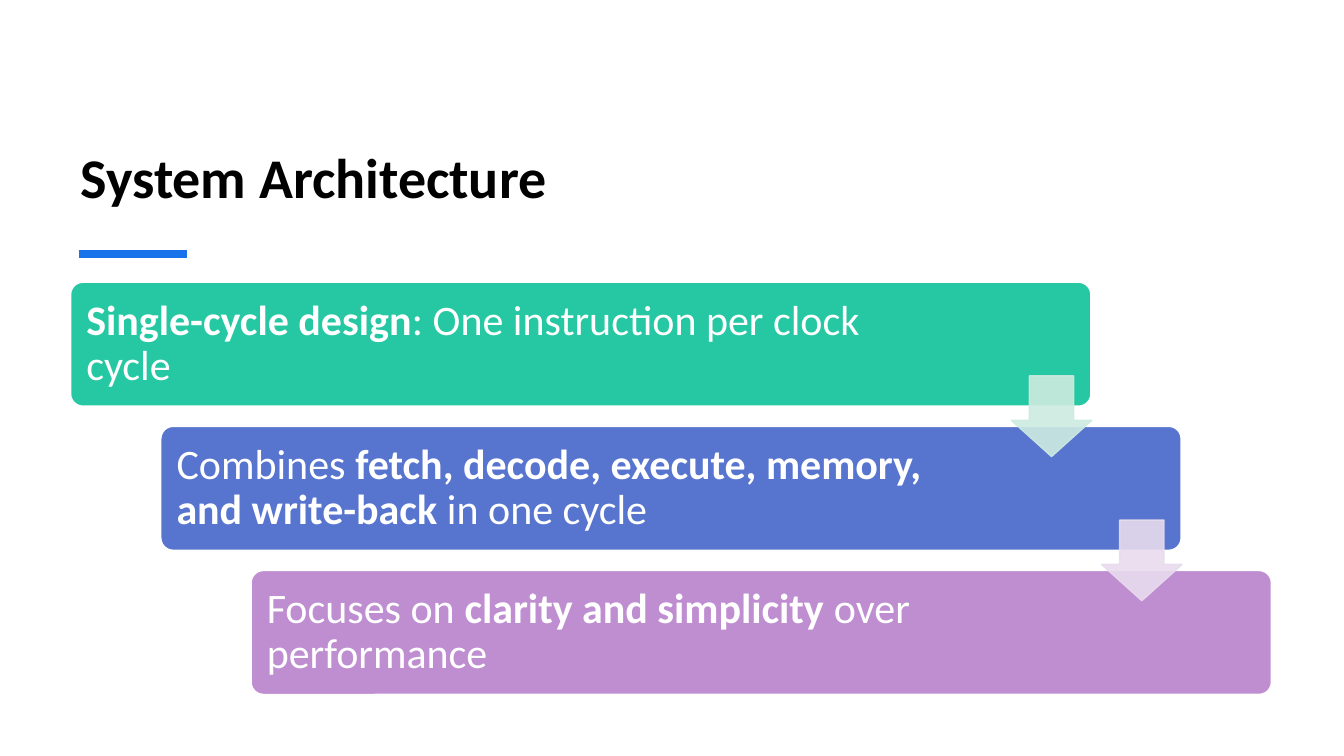
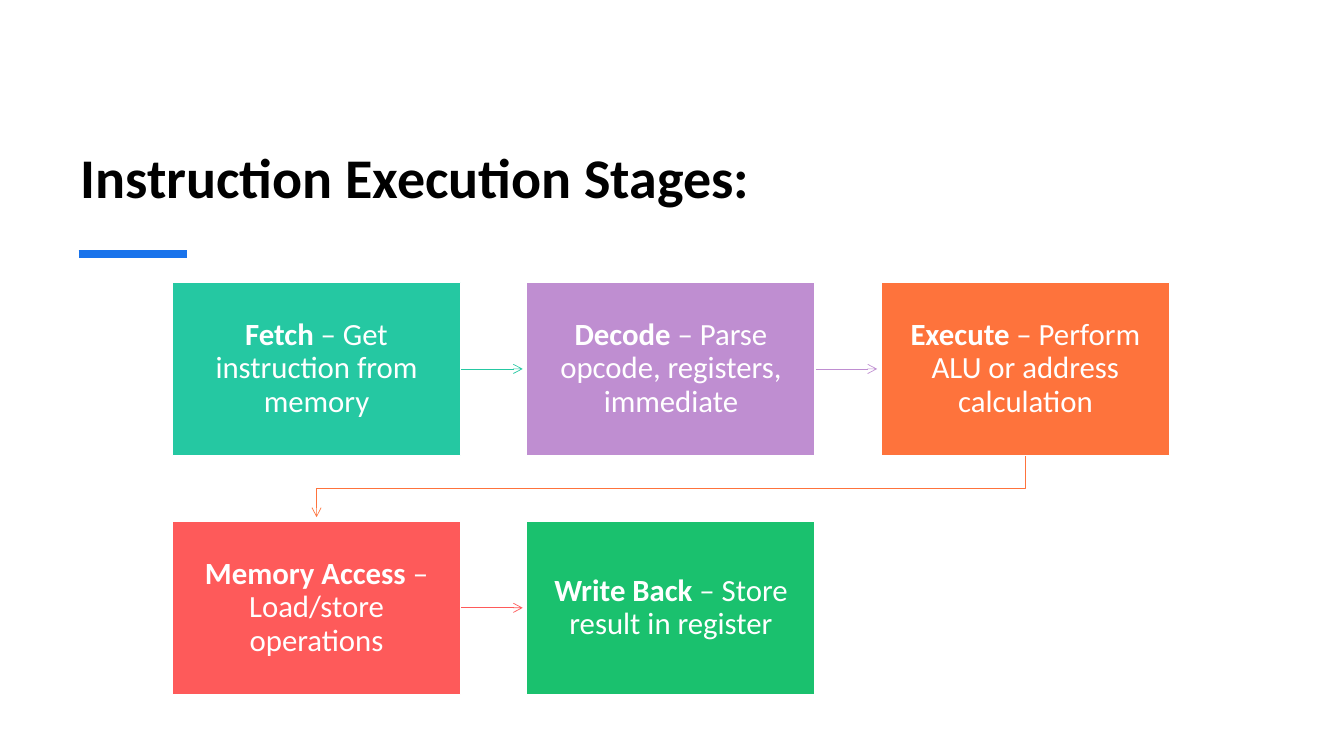
"""Build two slides on the design and stages of a single-cycle processor."""
from dataclasses import dataclass
from itertools import pairwise

from lxml import etree
from pptx import Presentation
from pptx.dml import color as dml
from pptx.enum import shapes, text
from pptx.oxml import ns
from pptx.util import Inches, Pt


@dataclass(frozen=True)
class Theme:
    """Colours, font and type sizes."""
    font: str = "Calibri"
    title_size: int = 40
    bar_size: int = 30
    stage_size: int = 22
    ink: str = "000000"
    paper: str = "FFFFFF"
    accent: str = "1973EB"
    teal: str = "25C8A2"
    blue: str = "5775CF"
    purple: str = "BF8ED1"
    orange: str = "FE733C"
    red: str = "FE5A5A"
    green: str = "1AC16E"
    pale_teal: str = "CDEBE0"
    pale_purple: str = "E8DBEE"


THEME = Theme()


@dataclass(frozen=True)
class Box:
    """A rectangle in inches."""
    left: float
    top: float
    width: float
    height: float

    @property
    def right(self) -> float:
        return self.left + self.width

    @property
    def bottom(self) -> float:
        return self.top + self.height

    @property
    def center(self) -> float:
        return self.left + self.width / 2

    @property
    def middle(self) -> float:
        return self.top + self.height / 2

    def lengths(self) -> list:
        return [Inches(value) for value in (self.left, self.top, self.width, self.height)]


@dataclass(frozen=True)
class Run:
    """A piece of text in one weight."""
    text: str
    bold: bool = False


@dataclass(frozen=True)
class Bar:
    """A step of the staircase."""
    fill: str
    runs: tuple[Run, ...]
    right_inset: float


@dataclass(frozen=True)
class Stage:
    """An instruction stage and its place in the grid."""
    name: str
    action: str
    fill: str
    column: int
    row: int


TITLE = Box(0.7, 0.62, 11.91, 1.52)
CONTENT_TOP = 2.8
BAR_WIDTH, BAR_HEIGHT, BAR_STEP = 10.12, 1.23, 1.43
BAR_INSET = 0.12
DROP_SIZE = 0.8
DROP_LEFT, DROP_TOP = 10.03, 3.73
GRID_LEFT, GRID_RIGHT, GRID_COLUMNS = 1.71, 11.6, 3
STAGE_WIDTH, STAGE_HEIGHT, ROW_STEP = 2.86, 1.72, 2.37
STAGE_INSET = 0.17
LINK_GAP = 0.04

BARS = (
    Bar(THEME.teal, (Run("Single-cycle design", True),
                     Run(": One instruction per clock cycle")), 1.36),
    Bar(THEME.blue, (Run("Combines "),
                     Run("fetch, decode, execute, memory, and write-back", True),
                     Run(" in one cycle")), 1.8),
    Bar(THEME.purple, (Run("Focuses on "), Run("clarity and simplicity", True),
                       Run(" over performance")), 1.8),
)
DROP_FILLS = (THEME.pale_teal, THEME.pale_purple)
STAGES = (
    Stage("Fetch", "Get instruction from memory", THEME.teal, 0, 0),
    Stage("Decode", "Parse opcode, registers, immediate", THEME.purple, 1, 0),
    Stage("Execute", "Perform ALU or address calculation", THEME.orange, 2, 0),
    Stage("Memory Access", "Load/store operations", THEME.red, 0, 1),
    Stage("Write Back", "Store result in register", THEME.green, 1, 1),
)


def rgb(value: str) -> dml.RGBColor:
    """Turn a hex value into a colour."""
    return dml.RGBColor.from_string(value)


def style_line(shape, color: str, width: float) -> None:
    """Set the colour and width of a line."""
    shape.line.color.rgb = rgb(color)
    shape.line.width = Pt(width)


def add_filled(slide, kind, box: Box, fill: str, line: str, adjustments=()):
    """Add a preset shape with a solid fill, a thin line and no shadow."""
    shape = slide.shapes.add_shape(kind, *box.lengths())
    shape.shadow.inherit = False
    shape.fill.solid()
    shape.fill.fore_color.rgb = rgb(fill)
    style_line(shape, line, 1)
    for index, value in enumerate(adjustments):
        shape.adjustments[index] = value
    return shape


def write_runs(shape, runs, size: int, alignment, inset: float, right_inset: float) -> None:
    """Fill a shape with one paragraph of white text."""
    frame = shape.text_frame
    frame.word_wrap = True
    frame.vertical_anchor = text.MSO_ANCHOR.MIDDLE
    frame.margin_left = frame.margin_top = frame.margin_bottom = Inches(inset)
    frame.margin_right = Inches(right_inset)
    paragraph = frame.paragraphs[0]
    paragraph.alignment = alignment
    paragraph.line_spacing = 0.9
    paragraph.font.name = THEME.font
    paragraph.font.size = Pt(size)
    paragraph.font.color.rgb = rgb(THEME.paper)
    for item in runs:
        run = paragraph.add_run()
        run.text = item.text
        run.font.bold = item.bold


def add_straight(slide, start: tuple, end: tuple, color: str, width: float):
    """Add a straight connector without a shadow."""
    points = [Inches(value) for value in (*start, *end)]
    connector = slide.shapes.add_connector(shapes.MSO_CONNECTOR.STRAIGHT, *points)
    style_line(connector, color, width)
    etree.SubElement(connector.element.spPr, ns.qn("a:effectLst"))
    return connector


def add_elbow(slide, points: list, color: str, width: float):
    """Add an open line through the given points."""
    corners = [(Inches(x), Inches(y)) for x, y in points]
    builder = slide.shapes.build_freeform(*corners[0])
    builder.add_line_segments(corners[1:], close=False)
    shape = builder.convert_to_shape()
    shape.shadow.inherit = False
    shape.fill.background()
    style_line(shape, color, width)
    return shape


def add_arrowhead(shape) -> None:
    """Put an open arrowhead at the end of a line."""
    outline = shape.element.spPr.find(ns.qn("a:ln"))
    etree.SubElement(outline, ns.qn("a:tailEnd"), type="arrow")


def set_opacity(shape, percent: int) -> None:
    """Make the fill and line of a shape partly transparent."""
    for color in shape.element.spPr.iter(ns.qn("a:srgbClr")):
        etree.SubElement(color, ns.qn("a:alpha"), val=str(percent * 1000))


def add_titled_slide(presentation, title: str):
    """Add a slide with a title and the accent rule below it."""
    slide = presentation.slides.add_slide(presentation.slide_layouts[5])
    shape = slide.shapes.title
    shape.left, shape.top, shape.width, shape.height = TITLE.lengths()
    frame = shape.text_frame
    frame.text = title
    frame.word_wrap = True
    frame.auto_size = text.MSO_AUTO_SIZE.NONE
    frame.vertical_anchor = text.MSO_ANCHOR.BOTTOM
    paragraph = frame.paragraphs[0]
    paragraph.alignment = text.PP_ALIGN.LEFT
    paragraph.line_spacing = 0.9
    paragraph.font.name = THEME.font
    paragraph.font.size = Pt(THEME.title_size)
    paragraph.font.bold = True
    paragraph.font.color.rgb = rgb(THEME.ink)
    add_straight(slide, (0.78, 2.52), (1.85, 2.52), THEME.accent, 6)
    return slide


def build_architecture(presentation) -> None:
    """Draw the staircase of design principles."""
    slide = add_titled_slide(presentation, "System Architecture")
    indent = (TITLE.width - BAR_WIDTH) / (len(BARS) - 1)
    for index, bar in enumerate(BARS):
        box = Box(TITLE.left + index * indent, CONTENT_TOP + index * BAR_STEP,
                  BAR_WIDTH, BAR_HEIGHT)
        shape = add_filled(slide, shapes.MSO_SHAPE.ROUNDED_RECTANGLE, box,
                           bar.fill, THEME.paper, (0.1,))
        write_runs(shape, bar.runs, THEME.bar_size, text.PP_ALIGN.LEFT,
                   BAR_INSET, bar.right_inset)
    for index, fill in enumerate(DROP_FILLS):
        box = Box(DROP_LEFT + index * indent, DROP_TOP + index * BAR_STEP,
                  DROP_SIZE, DROP_SIZE)
        arrow = add_filled(slide, shapes.MSO_SHAPE.DOWN_ARROW, box, fill, fill, (0.55, 0.45))
        set_opacity(arrow, 90)


def stage_box(stage: Stage) -> Box:
    """Place a stage in the grid."""
    column_step = (GRID_RIGHT - GRID_LEFT - STAGE_WIDTH) / (GRID_COLUMNS - 1)
    return Box(GRID_LEFT + stage.column * column_step,
               CONTENT_TOP + stage.row * ROW_STEP, STAGE_WIDTH, STAGE_HEIGHT)


def add_link(slide, source: Stage, target: Stage) -> None:
    """Draw the arrow from one stage to the next."""
    start, end = stage_box(source), stage_box(target)
    if source.row == target.row:
        link = add_straight(slide, (start.right, start.middle),
                            (end.left - LINK_GAP, end.middle), source.fill, 0.5)
    else:
        turn = (start.bottom + end.top) / 2
        points = [(start.center, start.bottom), (start.center, turn),
                  (end.center, turn), (end.center, end.top - LINK_GAP)]
        link = add_elbow(slide, points, source.fill, 0.5)
    add_arrowhead(link)


def build_stages(presentation) -> None:
    """Draw the flow of instruction stages."""
    slide = add_titled_slide(presentation, "Instruction Execution Stages:")
    for source, target in pairwise(STAGES):
        add_link(slide, source, target)
    for stage in STAGES:
        shape = add_filled(slide, shapes.MSO_SHAPE.RECTANGLE, stage_box(stage),
                           stage.fill, THEME.paper)
        runs = (Run(stage.name, True), Run(f" – {stage.action}"))
        write_runs(shape, runs, THEME.stage_size, text.PP_ALIGN.CENTER,
                   STAGE_INSET, STAGE_INSET)


def main() -> None:
    """Build and save the presentation."""
    presentation = Presentation()
    presentation.slide_width, presentation.slide_height = Inches(13.33), Inches(7.5)
    build_architecture(presentation)
    build_stages(presentation)
    presentation.save("out.pptx")


if __name__ == "__main__":
    main()
